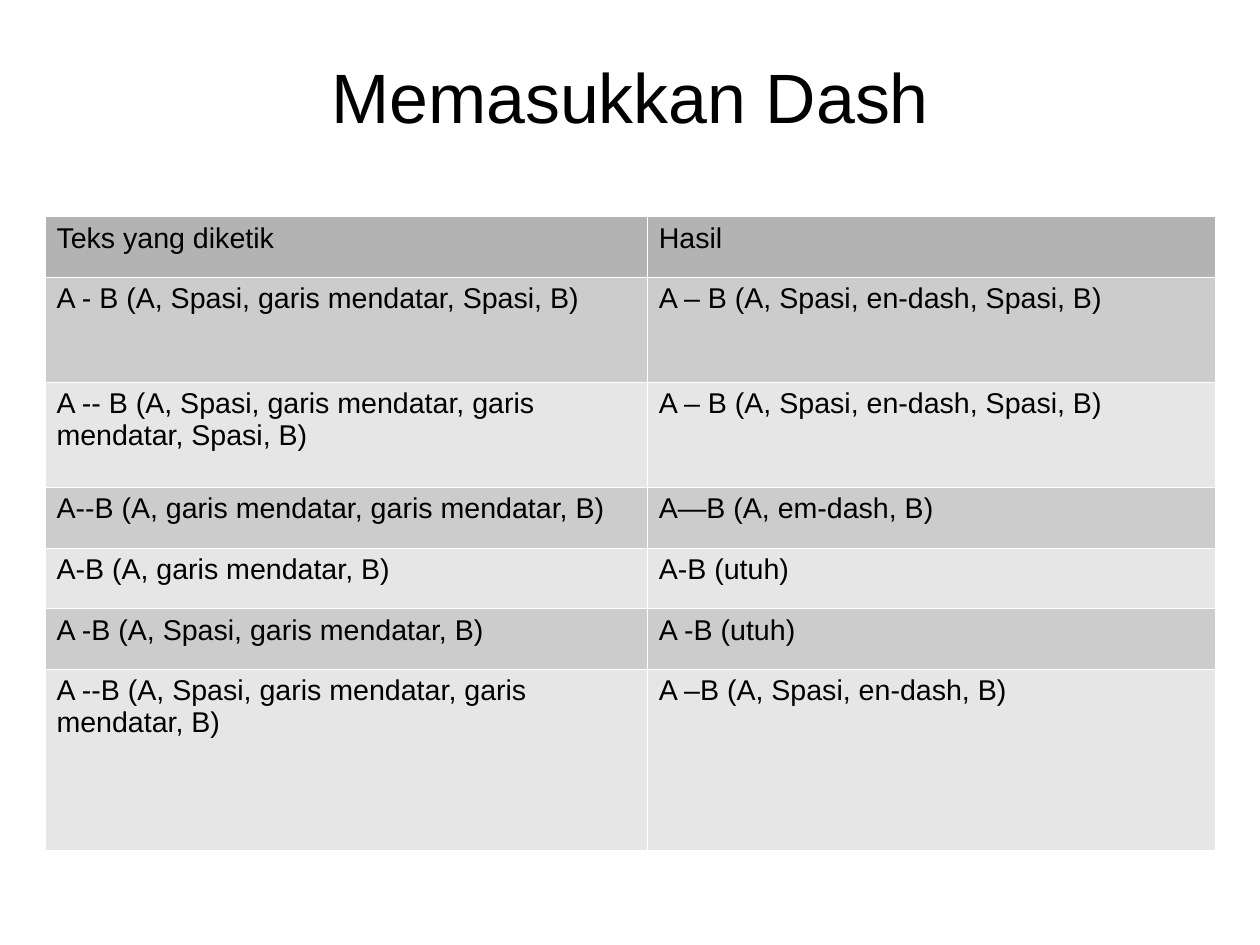
from lxml import etree
from pptx import Presentation
from pptx.dml.color import RGBColor
from pptx.enum import text
from pptx.oxml import ns
from pptx.util import Pt

TITLE = "Memasukkan Dash"
ROWS = [
    ("Teks yang diketik", "Hasil"),
    ("A - B (A, Spasi, garis mendatar, Spasi, B)",
     "A – B (A, Spasi, en-dash, Spasi, B)"),
    ("A -- B (A, Spasi, garis mendatar, garis mendatar, Spasi, B)",
     "A – B (A, Spasi, en-dash, Spasi, B)"),
    ("A--B (A, garis mendatar, garis mendatar, B)", "A—B (A, em-dash, B)"),
    ("A-B (A, garis mendatar, B)", "A-B (utuh)"),
    ("A -B (A, Spasi, garis mendatar, B)", "A -B (utuh)"),
    ("A --B (A, Spasi, garis mendatar, garis mendatar, B)",
     "A –B (A, Spasi, en-dash, B)"),
]
WIDTHS = [379.4, 357.8]
HEIGHTS = [38.2, 66.2, 66.2, 38.2, 38.2, 38.2, 113.8]

FONT = "Arial"
BLACK = RGBColor(0x00, 0x00, 0x00)
WHITE = RGBColor(0xFF, 0xFF, 0xFF)
HEAD = RGBColor(0xB3, 0xB3, 0xB3)
BANDS = [RGBColor(0xE6, 0xE6, 0xE6), RGBColor(0xCC, 0xCC, 0xCC)]


def write(frame, words, size):
    frame.text = words
    para = frame.paragraphs[0]
    para.font.name = FONT
    para.font.size = Pt(size)
    para.font.bold = False
    para.font.color.rgb = BLACK
    return para


def add_borders(cell):
    """Draw a white hairline on all four sides of the cell."""
    props = cell._tc.get_or_add_tcPr()
    for i, side in enumerate("LRTB"):
        line = etree.Element(ns.qn("a:ln" + side), w=str(Pt(0.06)))
        fill = etree.SubElement(line, ns.qn("a:solidFill"))
        etree.SubElement(fill, ns.qn("a:srgbClr"), val=str(WHITE))
        props.insert(i, line)


def add_title(slide):
    box = slide.shapes.add_textbox(Pt(187.2), Pt(22.3), Pt(419.8), Pt(75.6))
    frame = box.text_frame
    frame.word_wrap = True
    frame.vertical_anchor = text.MSO_ANCHOR.MIDDLE
    frame.margin_left = frame.margin_right = 0
    frame.margin_top = frame.margin_bottom = 0
    write(frame, TITLE, 44).alignment = text.PP_ALIGN.CENTER


def add_grid(slide):
    table = slide.shapes.add_table(
        len(ROWS), len(WIDTHS), Pt(28.4), Pt(136.4),
        Pt(sum(WIDTHS)), Pt(sum(HEIGHTS))).table
    for col, width in zip(table.columns, WIDTHS):
        col.width = Pt(width)
    for r, (row, height) in enumerate(zip(ROWS, HEIGHTS)):
        table.rows[r].height = Pt(height)
        for c, words in enumerate(row):
            cell = table.cell(r, c)
            write(cell.text_frame, words, 18)
            cell.fill.solid()
            cell.fill.fore_color.rgb = BANDS[r % 2] if r else HEAD
            add_borders(cell)


def main():
    deck = Presentation()
    deck.slide_width, deck.slide_height = Pt(793.7), Pt(595.3)
    slide = deck.slides.add_slide(deck.slide_layouts[6])
    add_title(slide)
    add_grid(slide)
    deck.save("out.pptx")


if __name__ == "__main__":
    main()
